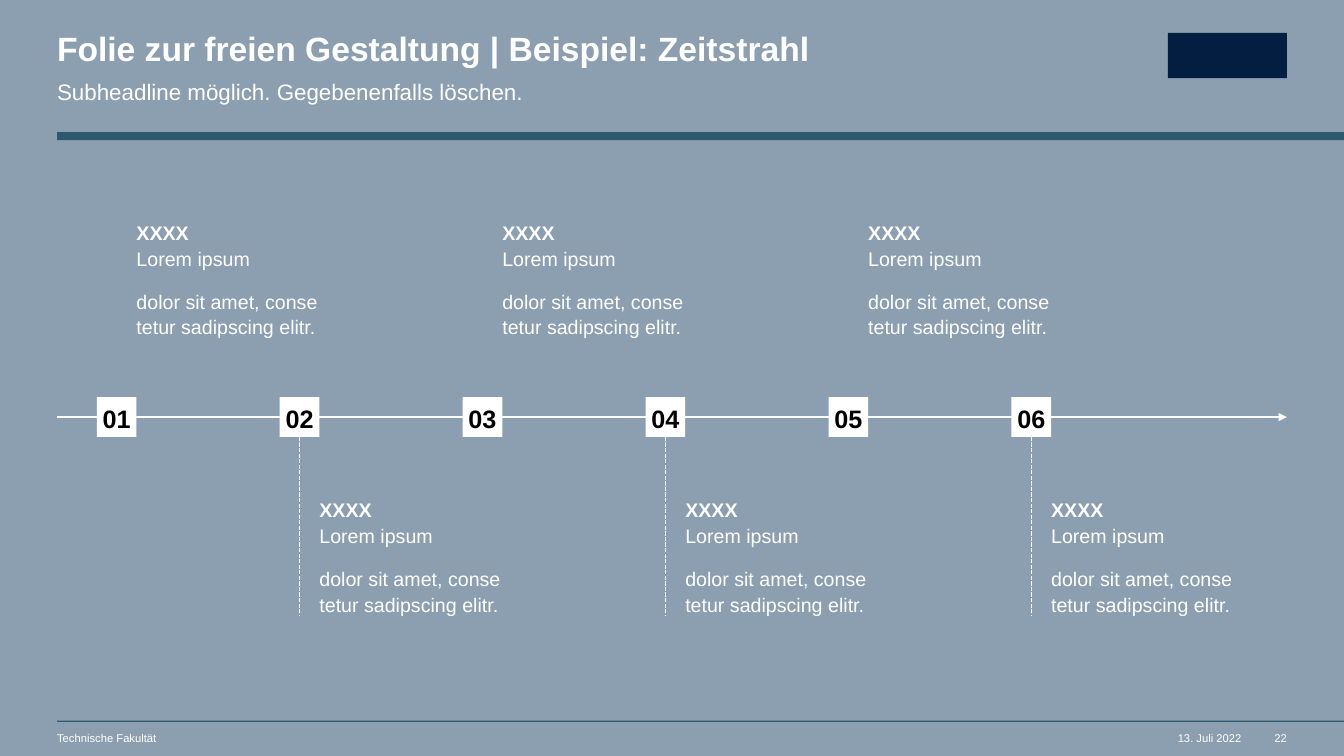
from dataclasses import dataclass

from pptx import Presentation
from pptx.dml.color import RGBColor
from pptx.enum.dml import MSO_LINE_DASH_STYLE as Dash
from pptx.enum.shapes import MSO_CONNECTOR as Connector, MSO_SHAPE as Preset
from pptx.enum.text import MSO_ANCHOR as Anchor, PP_ALIGN as Align
from pptx.oxml.ns import qn
from pptx.util import Cm, Pt
from lxml import etree

# Content
TITLE = "Folie zur freien Gestaltung | Beispiel: Zeitstrahl"
SUBTITLE = "Subheadline möglich. Gegebenenfalls löschen."
FACULTY, DATE, PAGE = "Technische Fakultät", "13. Juli 2022", "22"
STEPS = [
    (number, "XXXX", "Lorem ipsum", "dolor sit amet, conse\vtetur sadipscing elitr.")
    for number in ("01", "02", "03", "04", "05", "06")
]


@dataclass(frozen=True)
class Theme:
    font: str = "Arial"
    background: str = "8C9FB1"
    bar: str = "2F586E"
    mark: str = "041E42"
    light: str = "FFFFFF"
    dark: str = "000000"
    title: int = 24
    subtitle: int = 16
    number: int = 18
    body: int = 14
    footer: int = 8


THEME = Theme()

# Layout in centimetres
WIDTH, HEIGHT = 33.87, 19.05
LEFT, RIGHT = 1.44, 32.43
BOX, FIRST_BOX, STEP = 1.0, 2.44, 4.61
AXIS = 10.51
UPPER_TEXT, LOWER_TEXT = 5.51, 12.5
TEXT_WIDTH, TEXT_HEIGHT = 4.95, 3.0
FOOTER_TOP, FOOTER_HEIGHT = 18.44, 0.33


def color(code):
    return RGBColor.from_string(code)


def add_block(slide, left, top, width, height, fill):
    shape = slide.shapes.add_shape(Preset.RECTANGLE, Cm(left), Cm(top), Cm(width), Cm(height))
    shape.shadow.inherit = False
    shape.fill.solid()
    shape.fill.fore_color.rgb = color(fill)
    shape.line.fill.background()
    return shape


def clear_margins(frame):
    frame.margin_left = frame.margin_right = frame.margin_top = frame.margin_bottom = 0


def style(paragraph, size, code=THEME.light, bold=False, align=Align.LEFT, spacing=1.1, after=0):
    paragraph.alignment = align
    paragraph.line_spacing = spacing
    paragraph.space_after = Pt(after)
    font = paragraph.font
    font.name, font.size, font.bold = THEME.font, Pt(size), bold
    font.color.rgb = color(code)


def add_frame(slide, left, top, width, height, wrap=True):
    frame = slide.shapes.add_textbox(Cm(left), Cm(top), Cm(width), Cm(height)).text_frame
    clear_margins(frame)
    frame.word_wrap = wrap
    return frame


def add_label(slide, text, place, size, wrap=True, **look):
    paragraph = add_frame(slide, *place, wrap=wrap).paragraphs[0]
    paragraph.text = text
    style(paragraph, size, **look)


def add_line(slide, x1, y1, x2, y2):
    line = slide.shapes.add_connector(Connector.STRAIGHT, Cm(x1), Cm(y1), Cm(x2), Cm(y2))
    line.line.color.rgb = color(THEME.light)
    line.line.width = Pt(1)
    etree.SubElement(line._element.spPr, qn("a:effectLst"))
    return line


def add_step(slide, index, number, heading, lead, detail):
    left = FIRST_BOX + index * STEP
    below = index % 2 == 1

    # Numbered box
    box = add_block(slide, left, AXIS - BOX / 2, BOX, BOX, THEME.light)
    frame = box.text_frame
    clear_margins(frame)
    frame.vertical_anchor = Anchor.MIDDLE
    frame.paragraphs[0].text = number
    style(frame.paragraphs[0], THEME.number, THEME.dark, True, Align.CENTER, after=12)

    # Description
    text_top = LOWER_TEXT if below else UPPER_TEXT
    frame = add_frame(slide, left + BOX, text_top, TEXT_WIDTH, TEXT_HEIGHT)
    intro, body = frame.paragraphs[0], frame.add_paragraph()
    run = intro.add_run()
    run.text, run.font.bold = heading, True
    intro.add_line_break()
    intro.add_run().text = lead
    body.text = detail
    for paragraph in (intro, body):
        style(paragraph, THEME.body, after=12)

    # Dashed leader down to the lower text
    if below:
        center = left + BOX / 2
        leader = add_line(slide, center, AXIS + BOX / 2, center, LOWER_TEXT + TEXT_HEIGHT)
        leader.begin_connect(box, 2)
        leader.line.dash_style = Dash.SQUARE_DOT


def main():
    presentation = Presentation()
    presentation.slide_width, presentation.slide_height = Cm(WIDTH), Cm(HEIGHT)
    slide = presentation.slides.add_slide(presentation.slide_layouts[6])
    slide.background.fill.solid()
    slide.background.fill.fore_color.rgb = color(THEME.background)

    # Header and footer rules, plain mark at top right
    add_block(slide, LEFT, 18.16, WIDTH - LEFT, 0.03, THEME.bar)
    add_block(slide, LEFT, 3.33, WIDTH - LEFT, 0.2, THEME.bar)
    add_block(slide, 29.43, 0.83, 3.0, 1.14, THEME.mark)

    # Header and footer text
    add_label(slide, TITLE, (LEFT, 0.83, 19.03, 0.91), THEME.title, bold=True, spacing=0.9)
    add_label(slide, SUBTITLE, (LEFT, 1.91, 19.03, 0.69), THEME.subtitle, after=12)
    for text, left, width, align in (
        (FACULTY, LEFT, 15.19, Align.LEFT),
        (DATE, 29.64, 1.65, Align.RIGHT),
        (PAGE, RIGHT - 0.33, 0.33, Align.RIGHT),
    ):
        place = (left, FOOTER_TOP, width, FOOTER_HEIGHT)
        add_label(slide, text, place, THEME.footer, wrap=align == Align.LEFT, align=align, spacing=1.0)

    # Time axis with arrowhead
    axis = add_line(slide, LEFT, AXIS, RIGHT, AXIS)
    etree.SubElement(axis.line._get_or_add_ln(), qn("a:tailEnd"), type="triangle")

    for index, step in enumerate(STEPS):
        add_step(slide, index, *step)

    presentation.save("out.pptx")


if __name__ == "__main__":
    main()
